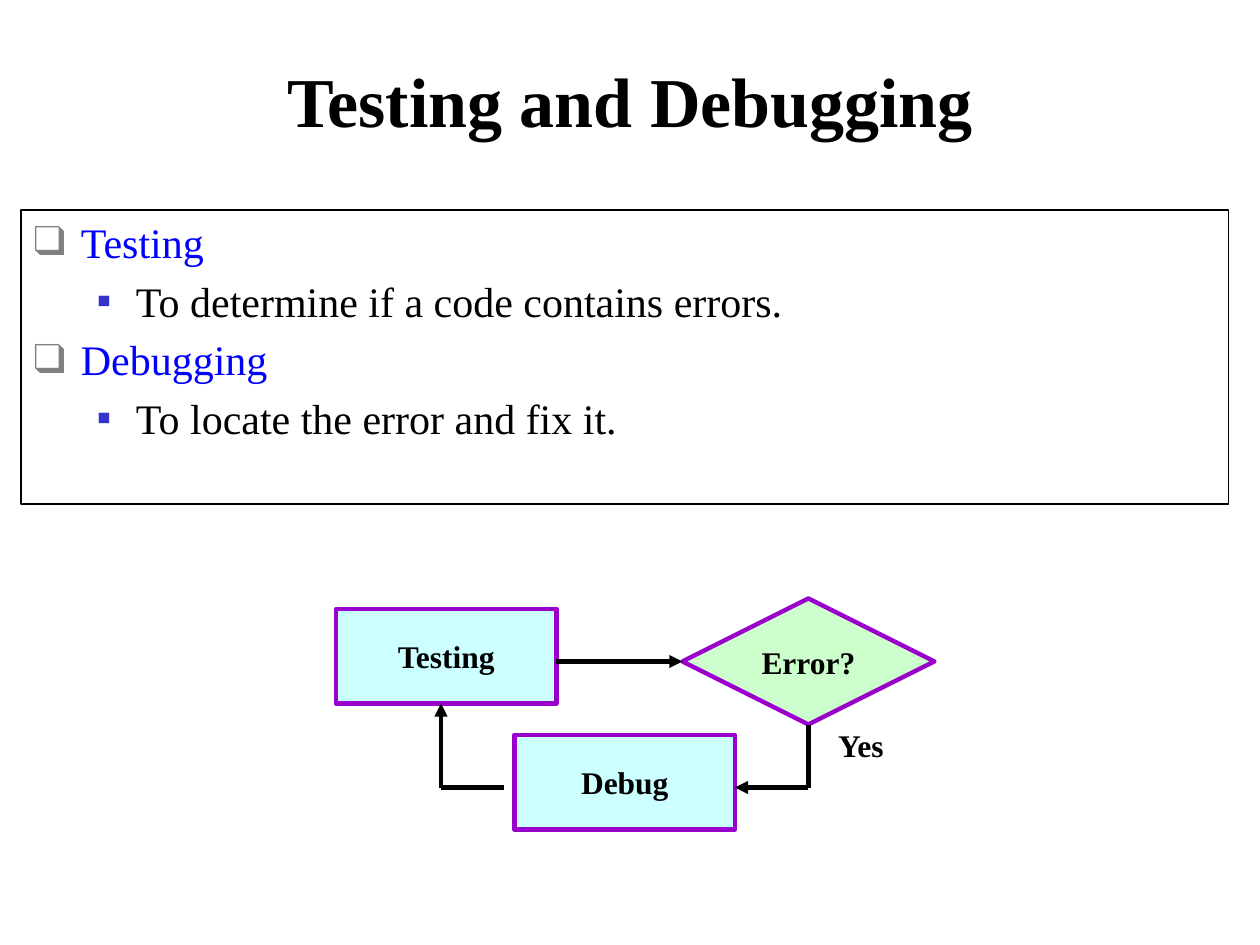
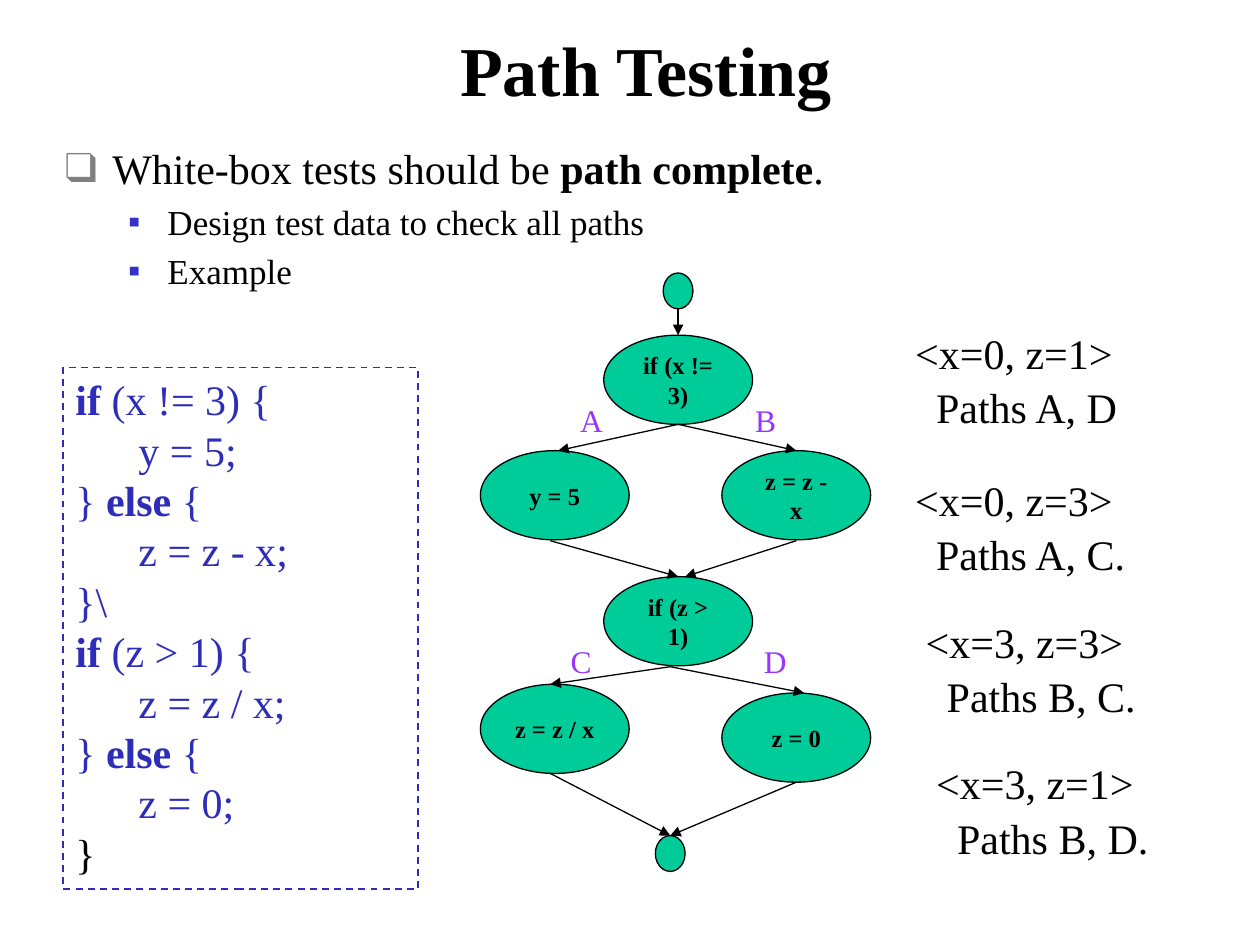
from lxml.etree import SubElement
from pptx import Presentation
from pptx.dml.color import RGBColor
from pptx.enum.dml import MSO_LINE
from pptx.enum.shapes import MSO_CONNECTOR, MSO_SHAPE
from pptx.enum.text import MSO_ANCHOR, MSO_AUTO_SIZE, PP_ALIGN
from pptx.oxml.ns import qn
from pptx.util import Pt

FONT = "Times New Roman"
BLACK, BLUE, INDIGO, VIOLET = "000000", "0000FF", "2D2DB9", "9933FF"
CYAN, MINT, PURPLE, GREEN = "CCFFFF", "CCFFCC", "9900CC", "00CC99"
BULLETS = [("❑", "808080", 27, -27), ("▪", "3333CC", 58.5, -22.5)]
INSET, TIGHT = (7.2, 3.6), (1, 1)
CODE = [
    "*if* (x != 3) {", "\ty = 5;", "} *else* {", "\tz = z - x;", "}\\",
    "*if* (z > 1) {", "\tz = z / x;", "} *else* {", "\tz = 0;",
]


def apply_format(target, values):
    """Set every attribute named in values on target."""
    for name, value in values.items():
        setattr(target, name, value)


def paint(color_format, hex_value):
    """Give a font, fill or line colour its hex value."""
    color_format.rgb = RGBColor.from_string(hex_value)


def place(part, box):
    """Move a placeholder to a box of left, top, width and height."""
    apply_format(part, dict(zip(("left", "top", "width", "height"), map(Pt, box))))


def outline(line, color, width):
    """Draw a solid line of the given colour and width."""
    line.fill.solid()
    paint(line.color, color)
    line.width = Pt(width)


def set_frame(frame, anchor=MSO_ANCHOR.TOP, inset=INSET):
    """Set wrapping, anchor and margins of a text frame."""
    side, edge = map(Pt, inset)
    apply_format(frame, {
        "word_wrap": True, "auto_size": MSO_AUTO_SIZE.NONE, "vertical_anchor": anchor,
        "margin_left": side, "margin_right": side,
        "margin_top": edge, "margin_bottom": edge,
    })


def write(paragraph, text, size, color=BLACK, bold=False, align=PP_ALIGN.LEFT, before=0):
    """Write text into a paragraph, with *starred* parts in bold."""
    apply_format(paragraph, {"alignment": align, "space_before": Pt(before)})
    for index, part in enumerate(text.split("*")):
        if part:
            run = paragraph.add_run()
            run.text = part
            apply_format(run.font, {
                "name": FONT, "size": Pt(size), "bold": bold or index % 2 == 1,
            })
            paint(run.font.color, color)


def paragraphs(frame, count):
    """Return the first paragraph of a frame and new ones up to count."""
    return [frame.paragraphs[0]] + [frame.add_paragraph() for _ in range(count - 1)]


def indent(paragraph, left, first=0):
    """Set the left margin and first-line indent of a paragraph."""
    properties = paragraph._p.get_or_add_pPr()
    properties.set("marL", str(Pt(left)))
    properties.set("indent", str(Pt(first)))
    return properties


def add_bullet(paragraph, level):
    """Give a paragraph the bullet and indent of its level."""
    symbol, color, left, first = BULLETS[level]
    paragraph.level = level
    properties = indent(paragraph, left, first)
    SubElement(SubElement(properties, qn("a:buClr")), qn("a:srgbClr")).set("val", color)
    SubElement(properties, qn("a:buFont")).set("typeface", FONT)
    SubElement(properties, qn("a:buChar")).set("char", symbol)


def start_slide(deck, heading, heading_box, list_box, items):
    """Add a slide with a title and a list of (level, text, size, colour, gap)."""
    slide = deck.slides.add_slide(deck.slide_layouts[1])
    title, body = slide.placeholders
    place(title, heading_box)
    set_frame(title.text_frame, MSO_ANCHOR.MIDDLE)
    write(title.text_frame.paragraphs[0], heading, 40, bold=True, align=PP_ALIGN.CENTER)
    place(body, list_box)
    set_frame(body.text_frame)
    for paragraph, (level, text, size, color, gap) in zip(
            paragraphs(body.text_frame, len(items)), items):
        add_bullet(paragraph, level)
        write(paragraph, text, size, color, before=gap)
    return slide, body


def add_node(slide, kind, box, fill, border, text="", size=14, inset=INSET):
    """Add a filled flowchart node with a bold centred caption."""
    node = slide.shapes.add_shape(kind, *map(Pt, box))
    node.shadow.inherit = False
    node.fill.solid()
    paint(node.fill.fore_color, fill)
    outline(node.line, *border)
    set_frame(node.text_frame, MSO_ANCHOR.MIDDLE, inset)
    write(node.text_frame.paragraphs[0], text, size, bold=True, align=PP_ALIGN.CENTER)


def add_flow(slide, start, end, width, arrow=True):
    """Add a black line, by default with an arrowhead at its end."""
    flow = slide.shapes.add_connector(MSO_CONNECTOR.STRAIGHT, *map(Pt, start + end))
    outline(flow.line, BLACK, width)
    properties = flow.element.spPr
    if arrow:
        SubElement(properties.find(qn("a:ln")), qn("a:tailEnd")).set("type", "triangle")
    SubElement(properties, qn("a:effectLst"))


def add_text_area(slide, box, inset=TIGHT):
    """Add an empty wrapped text box."""
    area = slide.shapes.add_textbox(*map(Pt, box))
    set_frame(area.text_frame, inset=inset)
    return area


def add_label(slide, box, text, color, bold=False):
    """Add a short centred label."""
    label = add_text_area(slide, box).text_frame.paragraphs[0]
    write(label, text, 18, color, bold, PP_ALIGN.CENTER)


def add_code(slide, box):
    """Add the dashed code listing."""
    listing = add_text_area(slide, box, INSET)
    outline(listing.line, INDIGO, 1)
    listing.line.dash_style = MSO_LINE.DASH
    *lines, closing = paragraphs(listing.text_frame, len(CODE) + 1)
    for line, text in zip(lines, CODE):
        write(line, text, 24, INDIGO)
    write(closing, "}", 24)


def add_case(slide, left, top, values, route):
    """Add one test case with the paths that it covers."""
    frame = add_text_area(slide, (left, top, 174, 63)).text_frame
    inputs, covered = paragraphs(frame, 2)
    write(inputs, values, 24)
    indent(covered, 12)
    write(covered, route, 24, before=2.4)


def build_debugging(deck):
    """Build the slide on testing and debugging."""
    slide, definitions = start_slide(
        deck, "Testing and Debugging", (42, 30, 636, 54), (12, 120, 690, 168), [
            (0, "Testing", 24, BLUE, 0),
            (1, "To determine if a code contains errors.", 24, BLACK, 4.8),
            (0, "Debugging", 24, BLUE, 4.8),
            (1, "To locate the error and fix it.", 24, BLACK, 4.8),
        ])
    outline(definitions.line, BLACK, 0.75)
    for kind, box, fill, caption in [
        (MSO_SHAPE.RECTANGLE, (192, 348, 126, 54), CYAN, "Testing"),
        (MSO_SHAPE.DIAMOND, (390, 342, 144, 72), MINT, "Error?"),
        (MSO_SHAPE.RECTANGLE, (294, 420, 126, 54), CYAN, "Debug"),
    ]:
        add_node(slide, kind, box, fill, (PURPLE, 2.5), caption, 18, TIGHT)
    add_label(slide, (462, 414, 60, 23), "Yes", BLACK, True)
    for start, end, arrow in [
        ((318, 378), (390, 378), True),
        ((462, 414), (462, 450), False),
        ((462, 450), (420, 450), True),
        ((288, 450), (252, 450), False),
        ((252, 450), (252, 402), True),
    ]:
        add_flow(slide, start, end, 2.5, arrow)


def build_path_testing(deck):
    """Build the slide on path testing."""
    slide, _ = start_slide(
        deck, "Path Testing", (42, 12, 654, 54), (30, 78, 660, 120), [
            (0, "White-box tests should be *path complete*.", 24, BLACK, 0),
            (1, "Design test data to check all paths", 20, BLACK, 4),
            (1, "Example", 20, BLACK, 4),
        ])
    add_code(slide, (36, 210, 203, 298))
    left, middle, right = 274.5, 345, 412.5
    steps = [
        (middle, 191.5, "if (x != 3)"), (left, 257.5, "y = 5"), (right, 257.5, "z = z - x"),
        (middle, 329.5, "if (z > 1)"), (left, 391, "z = z / x"), (right, 396, "z = 0"),
    ]
    for x, y, caption in steps:
        add_node(slide, MSO_SHAPE.OVAL, (x, y, 85, 51), GREEN, (BLACK, 0.75), caption)
    for x, y in [(379, 156), (374.5, 477.5)]:
        add_node(slide, MSO_SHAPE.OVAL, (x, y, 17, 20.5), GREEN, (BLACK, 0.75))
    for start, end in [
        ((387.5, 176.5), (387.5, 191.5)),
        ((387.5, 242.5), (319, 257.5)),
        ((387.5, 242.5), (455, 257.5)),
        ((314.5, 309), (387.5, 329.5)),
        ((455, 309), (391.5, 329.5)),
        ((383, 381), (314.5, 391)),
        ((383, 381), (459.5, 396)),
        ((314.5, 442), (383, 477.5)),
        ((455, 447), (383, 477.5)),
    ]:
        add_flow(slide, start, end, 0.75)
    for x, y, branch in [(320.5, 228, "A"), (420, 228, "B"),
                         (314.5, 366, "C"), (425.5, 366, "D")]:
        add_label(slide, (x, y, 35, 23), branch, VIOLET)
    for case in [
        (522, 186, "<x=0, z=1>", "Paths A, D"),
        (522, 270, "<x=0, z=3>", "Paths A, C."),
        (528, 351, "<x=3, z=3>", "Paths B, C."),
        (534, 432, "<x=3, z=1>", "Paths B, D."),
    ]:
        add_case(slide, *case)


def main():
    """Build both slides and save the deck."""
    deck = Presentation()
    apply_format(deck, {"slide_width": Pt(720), "slide_height": Pt(540)})
    build_debugging(deck)
    build_path_testing(deck)
    deck.save("out.pptx")


if __name__ == "__main__":
    main()
